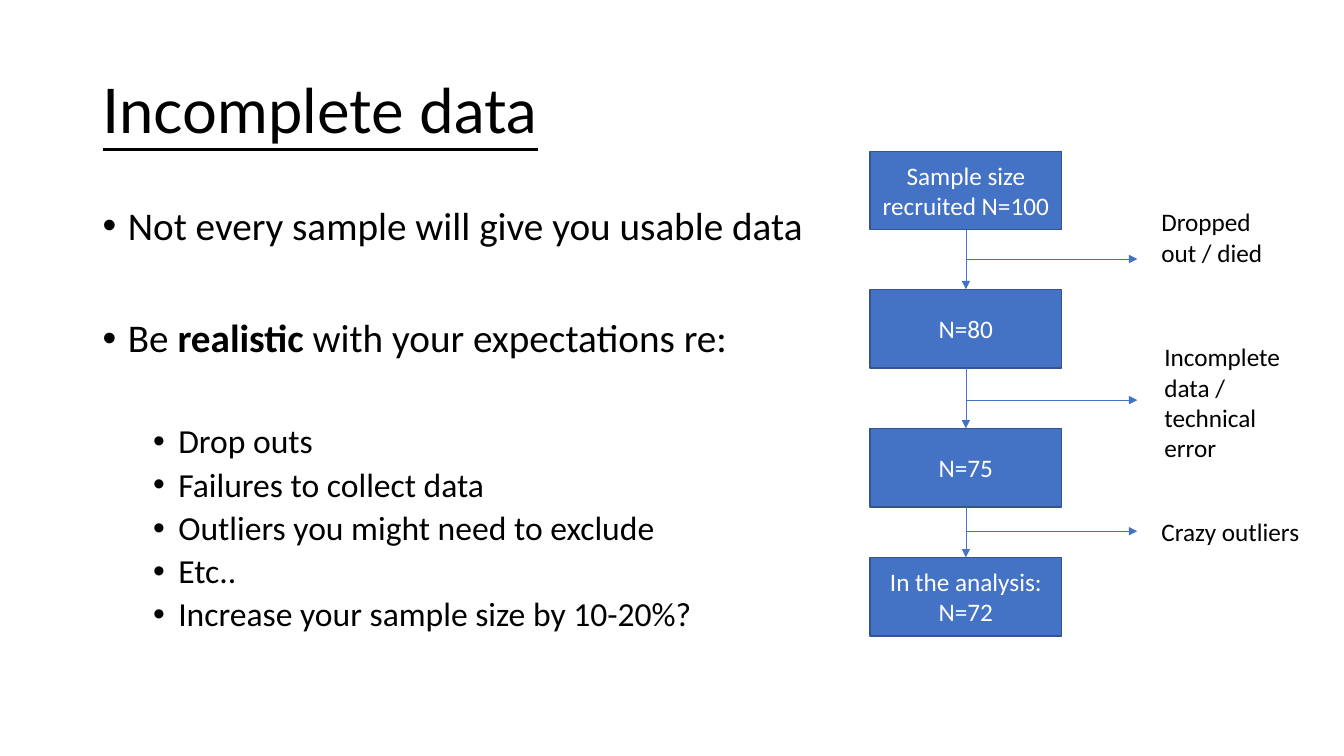
from dataclasses import dataclass
from itertools import pairwise

import pptx
import pptx.dml.color
import pptx.enum.shapes
import pptx.enum.text
import pptx.oxml
import pptx.oxml.ns
import pptx.util

Inches = pptx.util.Inches
Pt = pptx.util.Pt
Anchor = pptx.enum.text.MSO_ANCHOR
Align = pptx.enum.text.PP_ALIGN

BLACK, WHITE, BLUE, DARK_BLUE = "000000", "FFFFFF", "4472C4", "325491"
BOX_LEFT, BOX_WIDTH, BOX_HEIGHT = 8.63, 1.9, 0.78
BOX_CENTER = BOX_LEFT + BOX_WIDTH / 2
EXIT_RIGHT = 11.28


@dataclass
class Stage:
    lines: list[str]
    top: float


@dataclass
class Exclusion:
    text: str
    arrow_y: float
    left: float
    top: float
    width: float
    height: float
    wrap: bool = True


@dataclass
class Bullet:
    runs: list[tuple[str, bool]]
    size: float
    indent: float
    space_before: float


STAGES = [
    Stage(["Sample size recruited N=100"], 1.5),
    Stage(["N=80"], 2.87),
    Stage(["N=75"], 4.25),
    Stage(["In the analysis:", "N=72"], 5.53),
]

EXCLUSIONS = [
    Exclusion("Dropped out / died", 2.57, 11.42, 2, 1.62, 0.71),
    Exclusion("Incomplete data / technical error", 3.97, 11.45, 3.34, 1.62, 1.31),
    Exclusion("Crazy outliers", 5.27, 11.42, 5.07, 1.58, 0.4, wrap=False),
]

BULLETS = [
    Bullet([("Not every sample will give you usable data", False)], 28, 0.25, 0),
    Bullet([("Be ", False), ("realistic ", True), ("with your expectations re:", False)], 28, 0.25, 50),
    Bullet([("Drop outs", False)], 24, 0.75, 45.5),
    Bullet([("Failures to collect data", False)], 24, 0.75, 5),
    Bullet([("Outliers you might need to exclude", False)], 24, 0.75, 5),
    Bullet([("Etc..", False)], 24, 0.75, 5),
    Bullet([("Increase your sample size by 10-20%?", False)], 24, 0.75, 5),
]


def rgb(value: str) -> pptx.dml.color.RGBColor:
    return pptx.dml.color.RGBColor.from_string(value)


def add_run(paragraph, text: str, *, size: float = 18, color: str = BLACK, font: str = "Calibri",
            bold: bool = False, underline: bool = False) -> None:
    run = paragraph.add_run()
    run.text = text
    run.font.size = Pt(size)
    run.font.name = font
    run.font.color.rgb = rgb(color)
    run.font.bold = bold
    run.font.underline = underline


def add_text_box(slide, left: float, top: float, width: float, height: float,
                 wrap: bool = True, anchor=Anchor.TOP):
    box = slide.shapes.add_textbox(Inches(left), Inches(top), Inches(width), Inches(height))
    box.text_frame.word_wrap = wrap
    box.text_frame.vertical_anchor = anchor
    return box.text_frame


def next_paragraph(frame, index: int):
    return frame.paragraphs[0] if index == 0 else frame.add_paragraph()


def add_title(slide) -> None:
    paragraph = add_text_box(slide, 0.92, 0.4, 11.5, 1.45, anchor=Anchor.MIDDLE).paragraphs[0]
    paragraph.line_spacing = 0.9
    add_run(paragraph, "Incomplete data", size=44, font="Lato", underline=True)


def add_bullets(slide) -> None:
    frame = add_text_box(slide, 0.92, 2, 8.09, 4.76)
    for index, bullet in enumerate(BULLETS):
        paragraph = next_paragraph(frame, index)
        properties = paragraph._p.get_or_add_pPr()
        properties.set("marL", str(Inches(bullet.indent)))
        properties.set("indent", str(-Inches(0.25)))
        for tag, name, value in (("a:buFont", "typeface", "Arial"), ("a:buChar", "char", "•")):
            element = pptx.oxml.parse_xml(f"<{tag} {pptx.oxml.ns.nsdecls('a')} {name}='{value}'/>")
            properties.append(element)
        paragraph.line_spacing = 0.9
        paragraph.space_before = Pt(bullet.space_before)
        for text, bold in bullet.runs:
            add_run(paragraph, text, size=bullet.size, bold=bold)


def add_stage(slide, stage: Stage):
    shape = slide.shapes.add_shape(
        pptx.enum.shapes.MSO_SHAPE.RECTANGLE,
        Inches(BOX_LEFT), Inches(stage.top), Inches(BOX_WIDTH), Inches(BOX_HEIGHT))
    shape.shadow.inherit = False
    shape.fill.solid()
    shape.fill.fore_color.rgb = rgb(BLUE)
    shape.line.color.rgb = rgb(DARK_BLUE)
    shape.line.width = Pt(1)
    frame = shape.text_frame
    frame.word_wrap = True
    frame.vertical_anchor = Anchor.MIDDLE
    for index, line in enumerate(stage.lines):
        paragraph = next_paragraph(frame, index)
        paragraph.alignment = Align.CENTER
        add_run(paragraph, line, color=WHITE)
    return shape


def add_arrow(slide, left: float, top: float, right: float, bottom: float):
    arrow = slide.shapes.add_connector(
        pptx.enum.shapes.MSO_CONNECTOR.STRAIGHT,
        Inches(left), Inches(top), Inches(right), Inches(bottom))
    arrow.line.color.rgb = rgb(BLUE)
    arrow.line.width = Pt(0.5)
    namespace = pptx.oxml.ns.nsdecls("a")
    arrow.line._get_or_add_ln().append(pptx.oxml.parse_xml(f"<a:tailEnd {namespace} type='triangle'/>"))
    arrow._element.spPr.append(pptx.oxml.parse_xml(f"<a:effectLst {namespace}/>"))
    return arrow


def add_flow(slide) -> None:
    boxes = [add_stage(slide, stage) for stage in STAGES]
    for (upper, upper_box), (lower, lower_box) in pairwise(zip(STAGES, boxes)):
        arrow = add_arrow(slide, BOX_CENTER, upper.top + BOX_HEIGHT, BOX_CENTER, lower.top)
        arrow.begin_connect(upper_box, 2)
        arrow.end_connect(lower_box, 0)
    for exclusion in EXCLUSIONS:
        add_arrow(slide, BOX_CENTER, exclusion.arrow_y, EXIT_RIGHT, exclusion.arrow_y)
        frame = add_text_box(slide, exclusion.left, exclusion.top, exclusion.width,
                             exclusion.height, wrap=exclusion.wrap)
        add_run(frame.paragraphs[0], exclusion.text)


def main() -> None:
    presentation = pptx.Presentation()
    presentation.slide_width = Inches(13.33)
    presentation.slide_height = Inches(7.5)
    slide = presentation.slides.add_slide(presentation.slide_layouts[6])
    add_title(slide)
    add_bullets(slide)
    add_flow(slide)
    presentation.save("out.pptx")


if __name__ == "__main__":
    main()
